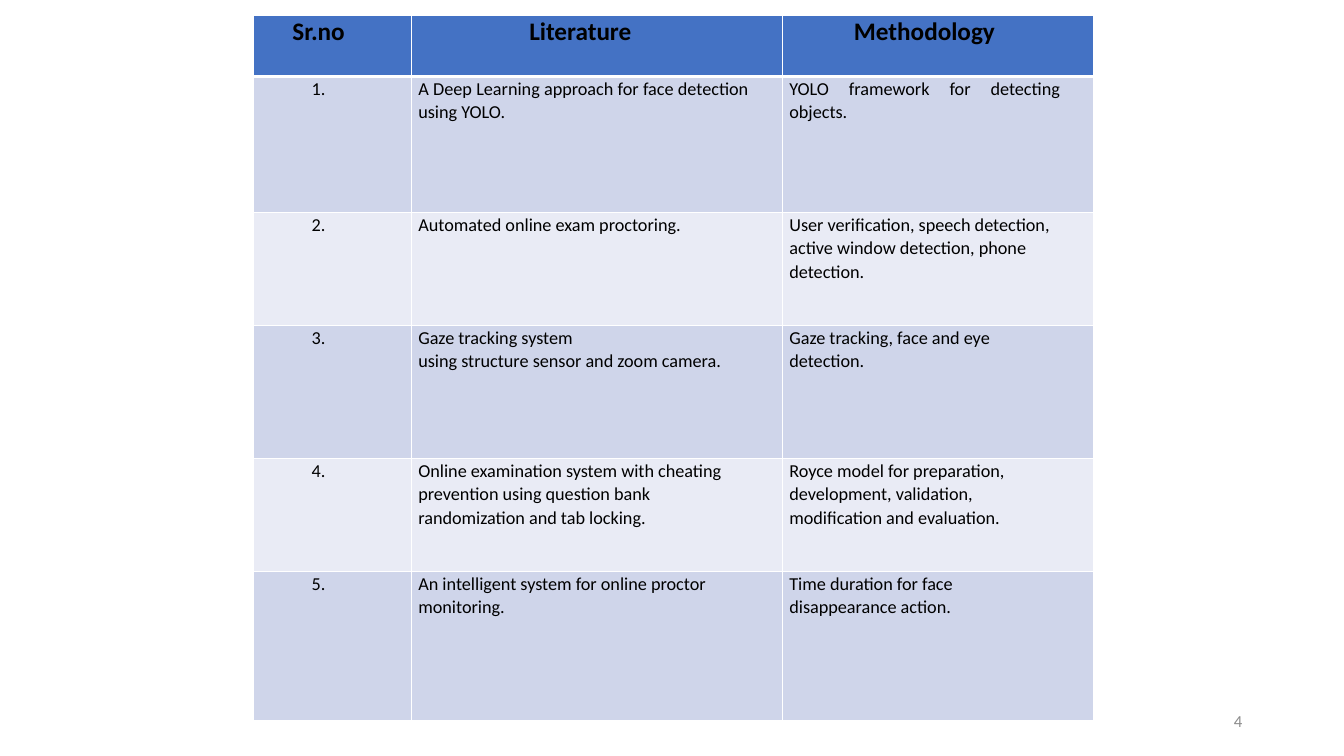
import pptx
import pptx.util
import pptx.dml.color
import pptx.enum.text
import pptx.oxml.ns
import lxml.etree

Inches, Pt = pptx.util.Inches, pptx.util.Pt
RGB = pptx.dml.color.RGBColor.from_string
ALIGN = pptx.enum.text.PP_ALIGN
qn = pptx.oxml.ns.qn

THEME = {
    "font": "Calibri",
    "text": "000000", "muted": "8C8C8C", "border": "FFFFFF",
    "header": "4472C4", "bands": ("E9EBF5", "CFD5EA"),
    "header_size": 18, "body_size": 13, "number_size": 12,
}
COLS = (1.57, 3.68, 3.09)
ROWS = (0.61, 1.35, 1.12, 1.32, 1.12, 1.48)
LEFT, TOP = 2.51, 0.15
PAD, RIGHT_INDENT = 0.07, 0.27

HEADINGS = ("Sr.no", "Literature ", "Methodology")
STUDIES = (
    ("A Deep Learning approach for face detection using YOLO.",
     "YOLO framework for detecting objects."),
    ("Automated online exam proctoring.",
     "User verification, speech detection, active window detection, phone detection."),
    ("Gaze tracking system\nusing structure sensor and zoom camera.",
     "Gaze tracking, face and eye detection."),
    ("Online examination system with cheating prevention using question bank "
     "randomization and tab locking.",
     "Royce model for preparation, development, validation, modification and evaluation."),
    ("An intelligent system for online proctor monitoring.",
     "Time duration for face disappearance action."),
)
JUSTIFIED = {(1, 1), (1, 2), (2, 1)}


def style_run(r, size, color, bold=False):
    r.font.name = THEME["font"]
    r.font.size = Pt(size)
    r.font.bold = bold
    r.font.color.rgb = RGB(color)


def add_border(cell, side, width):
    """Draw one edge of a cell; side is L, R, T or B, added in that order."""
    ln = lxml.etree.SubElement(cell._tc.get_or_add_tcPr(), qn("a:ln" + side), w=str(Pt(width)))
    fill = lxml.etree.SubElement(ln, qn("a:solidFill"))
    lxml.etree.SubElement(fill, qn("a:srgbClr"), val=THEME["border"])


prs = pptx.Presentation()
prs.slide_width, prs.slide_height = Inches(13.33), Inches(7.5)
s = prs.slides.add_slide(prs.slide_layouts[6])

# Slide number
sp = s.shapes.add_textbox(Inches(9.42), Inches(6.95), Inches(3), Inches(0.4))
tf = sp.text_frame
tf.word_wrap = True
tf.vertical_anchor = pptx.enum.text.MSO_ANCHOR.MIDDLE
tf.text = "4"
p = tf.paragraphs[0]
p.alignment = ALIGN.RIGHT
style_run(p.runs[0], THEME["number_size"], THEME["muted"])

# Literature survey table
table = s.shapes.add_table(len(ROWS), len(COLS), Inches(LEFT), Inches(TOP),
                           Inches(sum(COLS)), Inches(sum(ROWS))).table
table.horz_banding = False
for column, width in zip(table.columns, COLS):
    column.width = Inches(width)
for row, height in zip(table.rows, ROWS):
    row.height = Inches(height)

content = [HEADINGS] + [(f"{n}.", *study) for n, study in enumerate(STUDIES, 1)]
for i, values in enumerate(content):
    is_header = i == 0
    size = THEME["header_size"] if is_header else THEME["body_size"]
    for j, value in enumerate(values):
        cell = table.cell(i, j)
        cell.margin_left = cell.margin_right = Inches(PAD)
        cell.margin_top = cell.margin_bottom = 0
        for side in "LRTB":
            under_header = (i, side) in ((0, "B"), (1, "T"))
            add_border(cell, side, 3 if under_header else 1)
        cell.fill.solid()
        cell.fill.fore_color.rgb = RGB(THEME["header"] if is_header else THEME["bands"][i % 2])
        cell.text_frame.text = value
        for p in cell.text_frame.paragraphs:
            if is_header or j == 0:
                p.alignment = ALIGN.CENTER
            else:
                p.alignment = ALIGN.JUSTIFY if (i, j) in JUSTIFIED else ALIGN.LEFT
            p.line_spacing = 1.06
            p._p.get_or_add_pPr().set("marR", str(Inches(RIGHT_INDENT)))
            style_run(p.runs[0], size, THEME["text"], is_header)

prs.save("out.pptx")
